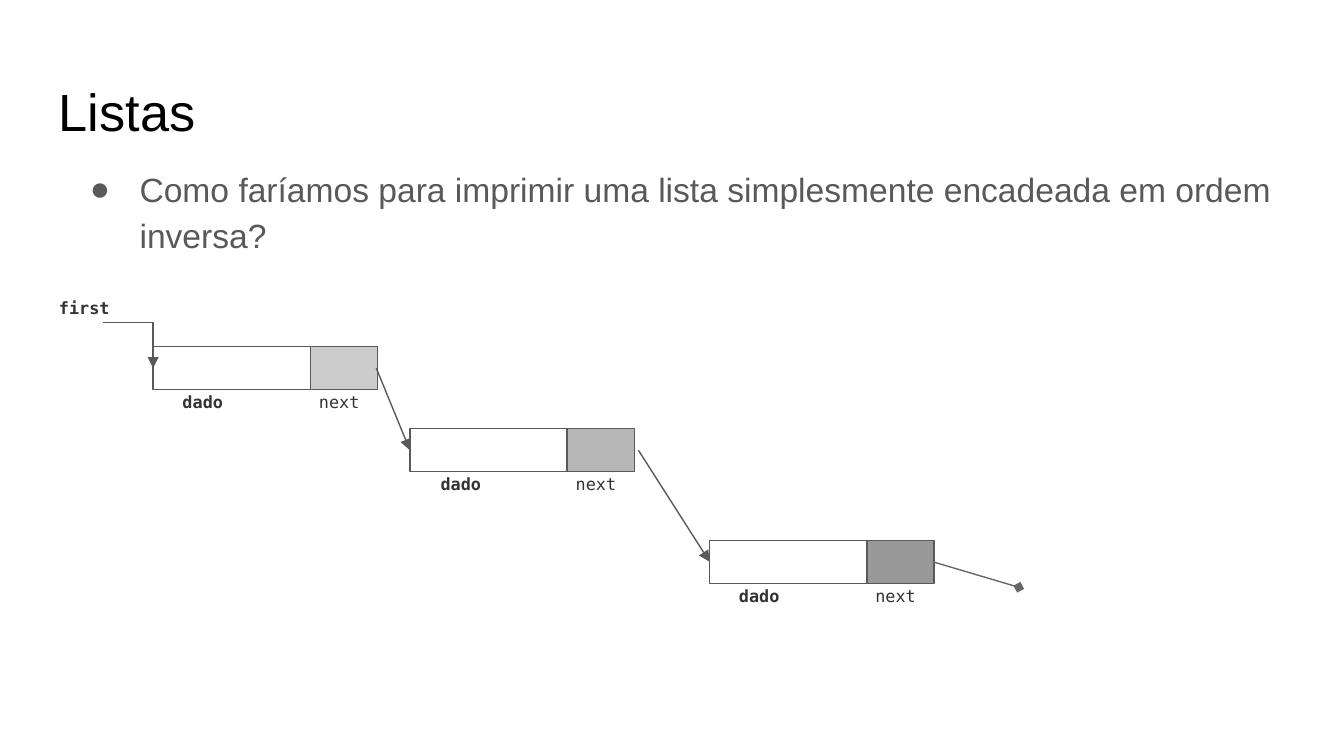
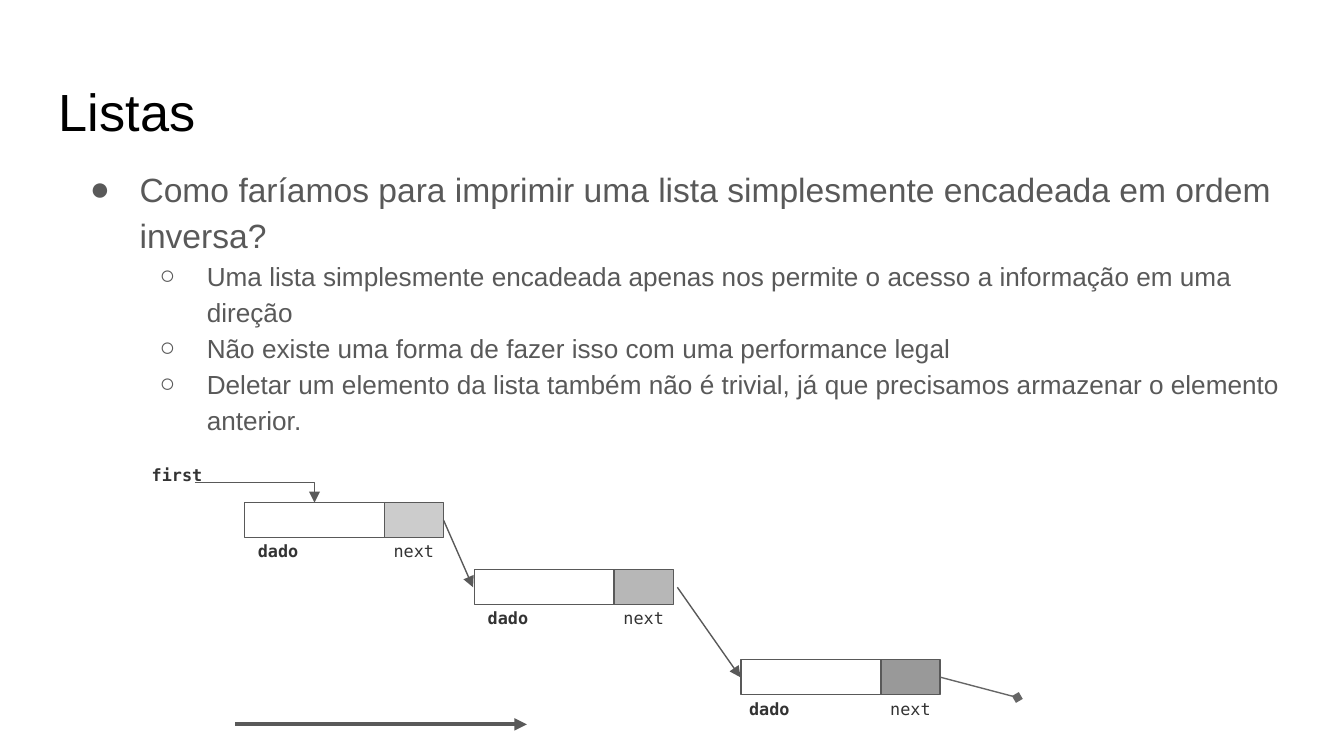
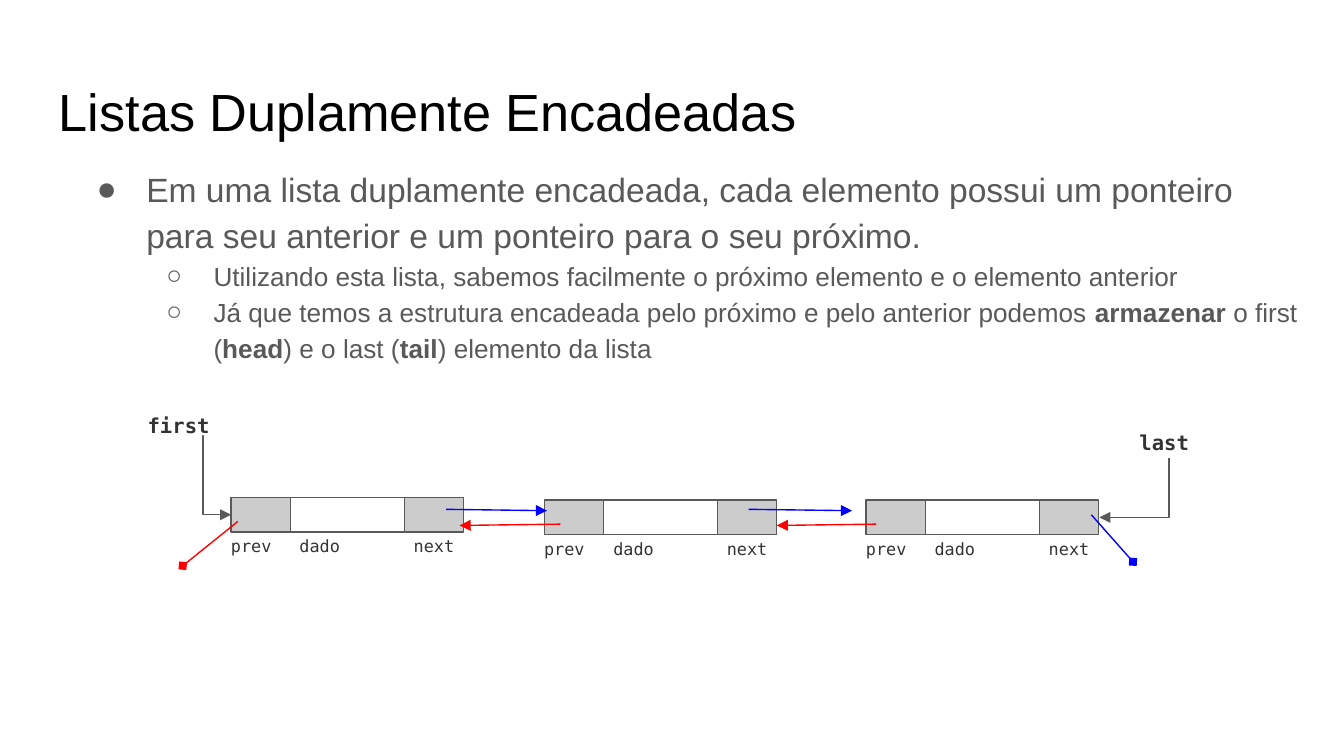
from lxml.etree import SubElement
from pptx import Presentation
from pptx.dml.color import RGBColor
from pptx.enum.shapes import MSO_CONNECTOR, MSO_SHAPE
from pptx.oxml.ns import qn
from pptx.util import Inches, Pt

# Shared style
SANS, MONO = "Arial", "DejaVu Sans Mono"
BLACK, GREY, INK = "000000", "595959", "333333"
BLUE, RED, END_GREY = "0000FF", "FF0000", "666666"
THIN, THICK = 0.75, 2.24
BULLETS = [("●", 18, 0.5, -0.37), ("○", 14, 1, -0.35)]  # sign, size, margin, hang

deck = Presentation()
deck.slide_width = Inches(10)
deck.slide_height = deck.slide_width * 9 // 16
CELL = deck.slide_width / 100  # the grid has 100 square cells across
color = RGBColor.from_string


def add_text(page, place, paragraphs, size, font, ink, bold=False):
    """Write (level, text) paragraphs; level None has no bullet, ** toggles bold."""
    box = page.shapes.add_textbox(*[round(value * CELL) for value in place])
    frame = box.text_frame
    frame.word_wrap = True
    frame.margin_left = frame.margin_right = Inches(0.1)
    frame.margin_top = frame.margin_bottom = Inches(0.1)
    for index, (level, text) in enumerate(paragraphs):
        para = frame.paragraphs[0] if index == 0 else frame.add_paragraph()
        span_size = size
        if level is not None:
            sign, span_size, margin, hang = BULLETS[level]
            para.level = level
            para.line_spacing = 1.15
            properties = para._p.get_or_add_pPr()
            properties.set("marL", str(Inches(margin)))
            properties.set("indent", str(Inches(hang)))
            tint = SubElement(properties, qn("a:buClr"))
            SubElement(tint, qn("a:srgbClr"), val=ink)
            SubElement(properties, qn("a:buFont"), typeface=SANS)
            SubElement(properties, qn("a:buChar"), char=sign)
        for position, part in enumerate(text.split("**")):
            span = para.add_run()
            span.text = part
            span.font.name = font
            span.font.size = Pt(span_size)
            span.font.bold = bold or position % 2 == 1
            span.font.color.rgb = color(ink)


def add_arrow(page, ends, ink=GREY, tip="triangle", bend=None, weight=THIN):
    """Connect two grid points; bend is None, 'across' first or 'down' first."""
    kind = MSO_CONNECTOR.ELBOW if bend else MSO_CONNECTOR.STRAIGHT
    arrow = page.shapes.add_connector(kind, *[round(value * CELL) for value in ends])
    arrow.line.color.rgb = color(ink)
    arrow.line.width = Pt(weight)
    SubElement(arrow.line._get_or_add_ln(), qn("a:tailEnd"), type=tip)
    properties = arrow._element.spPr
    SubElement(properties, qn("a:effectLst"))
    geometry = properties.find(qn("a:prstGeom"))
    if bend == "across":
        geometry.set("prst", "bentConnector2")
    elif bend == "down":
        guides = geometry.find(qn("a:avLst"))
        if guides is None:
            guides = SubElement(geometry, qn("a:avLst"))
        SubElement(guides, qn("a:gd"), name="adj1", fmla="val 600")


# Content of the slides, in grid cells
QUESTION = (0, "Como faríamos para imprimir uma lista simplesmente encadeada em ordem inversa?")
slides = [
    dict(
        title="Listas", body_left=4.4, points=[QUESTION],
        # fields: name, width, label shift, label width
        fields=[("dado", 11.7, 0, 8.7), ("next", 5, -0.35, 6)],
        node_height=3.2, label_top=2.6, label_height=3.7, bold_data=True,
        # nodes: left, top, shade, shift of the data label
        nodes=[(11.4, 25.8, "CCCCCC", 1.2), (30.5, 31.9, "B7B7B7", 1.3),
               (52.8, 40.2, "999999", 1.2)],
        names=[("first", 9, (3.4, 21.4, 8.7, 2.6))],
        arrows=[((28, 27.4, 30.5, 33.5),), ((47.5, 33.5, 52.8, 41.8),),
                ((69.4, 41.8, 75.8, 43.7), END_GREY, "diamond"),
                ((7.7, 24, 11.4, 27.4), GREY, "triangle", "across")],
    ),
    dict(
        title="Listas", body_left=4.4,
        points=[
            QUESTION,
            (1, "Uma lista simplesmente encadeada apenas nos permite o acesso a informação em uma direção"),
            (1, "Não existe uma forma de fazer isso com uma performance legal"),
            (1, "Deletar um elemento da lista também não é trivial, já que precisamos armazenar o elemento anterior."),
        ],
        fields=[("dado", 10.4, 0, 8.8), ("next", 4.4, -0.3, 5.4)],
        node_height=2.6, label_top=2.1, label_height=3, bold_data=True,
        nodes=[(18.2, 37.4, "CCCCCC", 0), (35.3, 42.4, "B7B7B7", 0),
               (55.15, 49.1, "999999", -0.4)],
        names=[("first", 9, (10.3, 33.8, 8.5, 2.1))],
        arrows=[((33, 38.7, 35.2, 43.7),), ((50.4, 43.7, 55.1, 50.4),),
                ((70, 50.4, 75.7, 51.9), END_GREY, "diamond"),
                ((14.5, 35.9, 23.4, 37.4), GREY, "triangle", "across"),
                ((17.5, 53.9, 39.2, 53.9), GREY, "triangle", None, THICK)],
    ),
    dict(
        title="Listas Duplamente Encadeadas", body_left=4.9,
        points=[
            (0, "Em uma lista duplamente encadeada, cada elemento possui um ponteiro para seu anterior e um ponteiro para o seu próximo."),
            (1, "Utilizando esta lista, sabemos facilmente o próximo elemento e o elemento anterior"),
            (1, "Já que temos a estrutura encadeada pelo próximo e pelo anterior podemos **armazenar** o first (**head**) e o last (**tail**) elemento da lista"),
        ],
        fields=[("prev", 4.4, -1, 5.4), ("dado", 8.5, 0, 8.8), ("next", 4.4, -0.3, 5.4)],
        node_height=2.6, label_top=2.1, label_height=3, bold_data=False,
        nodes=[(17.2, 37, "CCCCCC", -0.3), (40.5, 37.2, "CCCCCC", -0.25),
               (64.45, 37.2, "CCCCCC", -0.3)],
        names=[("first", 11, (10, 29.8, 10.2, 2.6)), ("last", 11, (83.8, 31.1, 8.5, 2.6))],
        arrows=[((15.1, 32.4, 17.2, 38.3), GREY, "triangle", "down"),
                ((87, 34.1, 81.8, 38.5), GREY, "triangle", "down"),
                ((55.7, 37.9, 63.4, 38), BLUE), ((33.2, 37.9, 40.7, 38), BLUE),
                ((41.7, 39, 34.2, 39.1), RED), ((65.2, 39, 57.8, 39.1), RED),
                ((81.2, 38.3, 84.3, 41.8), BLUE, "diamond"),
                ((17.7, 38.8, 13.6, 42.1), RED, "diamond")],
    ),
]

for content in slides:
    page = deck.slides.add_slide(deck.slide_layouts[6])

    # Title and bullet points
    add_text(page, (3.4, 4.9, 93.2, 6.3), [(None, content["title"])], 28, SANS, BLACK)
    add_text(page, (content["body_left"], 11.1, 93.2, 37.4), content["points"], 18, SANS, GREY)

    # List nodes: a row of fields with a label under each
    for left, top, shade, data_shift in content["nodes"]:
        for name, width, shift, label_width in content["fields"]:
            is_data = name == "dado"
            place = (left, top, width, content["node_height"])
            field = page.shapes.add_shape(
                MSO_SHAPE.RECTANGLE, *[round(value * CELL) for value in place])
            field.shadow.inherit = False
            field.line.color.rgb = color(GREY)
            field.line.width = Pt(THIN)
            if is_data:
                field.fill.background()
                shift = data_shift
            else:
                field.fill.solid()
                field.fill.fore_color.rgb = color(shade)
            label_place = (left + shift, top + content["label_top"],
                           label_width, content["label_height"])
            add_text(page, label_place, [(None, name)], 9, MONO, INK,
                     is_data and content["bold_data"])
            left += width

    # Pointers and their names
    for name, size, place in content["names"]:
        add_text(page, place, [(None, name)], size, MONO, INK, True)
    for arrow in content["arrows"]:
        add_arrow(page, *arrow)

deck.save("out.pptx")
